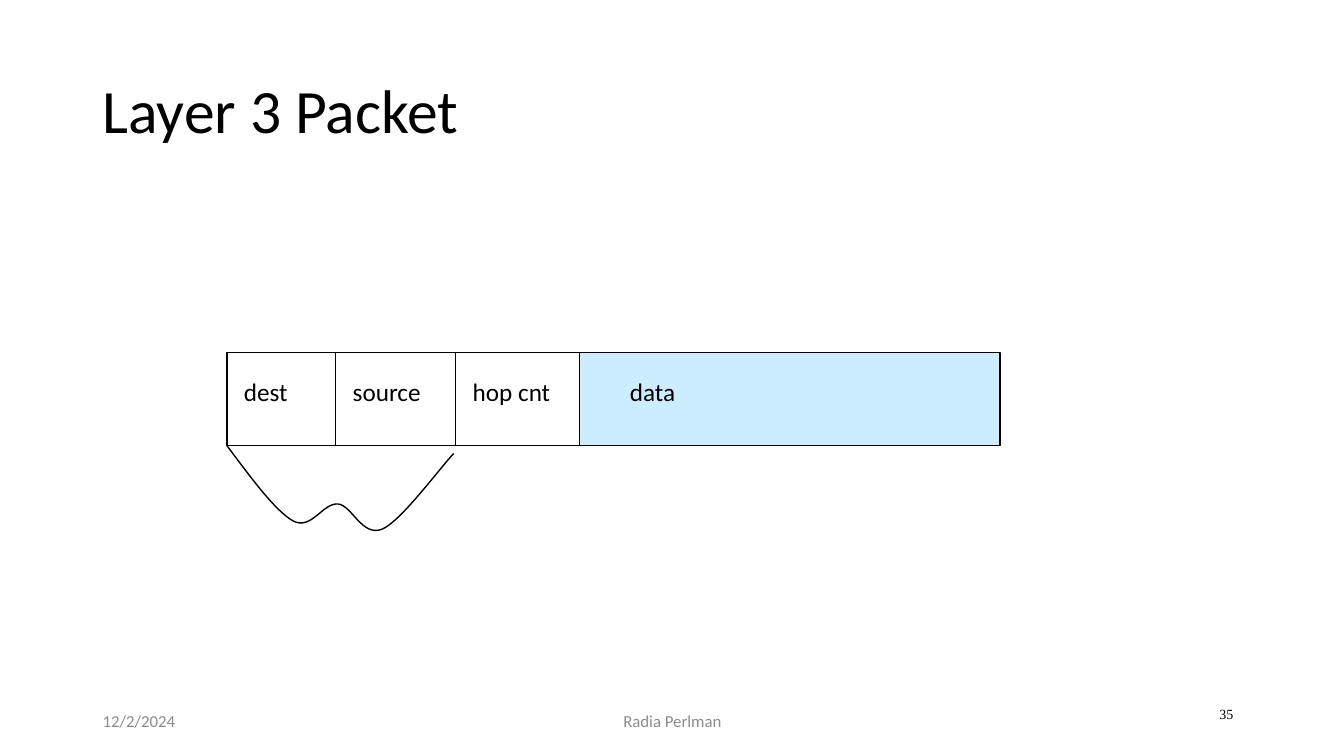
from lxml import etree
from pptx import Presentation
from pptx.dml.color import RGBColor
from pptx.enum.shapes import MSO_CONNECTOR, MSO_SHAPE
from pptx.enum.text import MSO_ANCHOR, PP_ALIGN
from pptx.oxml.ns import qn
from pptx.util import Pt

PX = 9144  # EMU per px, 100 px to the inch
LEFT, CENTER, RIGHT = PP_ALIGN.LEFT, PP_ALIGN.CENTER, PP_ALIGN.RIGHT
TOP, MIDDLE = MSO_ANCHOR.TOP, MSO_ANCHOR.MIDDLE
RECT, STRAIGHT = MSO_SHAPE.RECTANGLE, MSO_CONNECTOR.STRAIGHT
COLORS = {"ink": "000000", "data": "CCECFF", "footer": "8C8C8C"}

PACKET_TOP, PACKET_BOTTOM = 350, 442
HEADER_LEFT, DATA_LEFT, PACKET_RIGHT = 225, 575, 992
DIVIDERS = [333, 452]
FIELDS = [("dest", 232, 74), ("source", 340, 108),
          ("hop cnt", 459, 120), ("data", 615, 76)]
# Start point, then two control points and an end point for each curve
BRACE = [(225, 442),
         (249, 474), (273, 507), (291, 517),
         (309, 526), (320, 499), (335, 500),
         (349, 501), (359, 533), (379, 525),
         (398, 517), (438, 462), (450, 450)]


def rgb(name):
    return RGBColor.from_string(COLORS[name])


def px(*lengths):
    return [n * PX for n in lengths]


def set_outline(s):
    s.line.color.rgb = rgb("ink")
    s.line.width = Pt(1)


def add_text(slide, text, box, size, color="ink", align=LEFT, anchor=TOP,
             font="Calibri", spacing=1.0):
    tf = slide.shapes.add_textbox(*px(*box)).text_frame
    tf.word_wrap = True
    tf.vertical_anchor = anchor
    p = tf.paragraphs[0]
    p.text = text
    p.alignment = align
    p.line_spacing = spacing
    p.font.name = font
    p.font.size = Pt(size)
    p.font.color.rgb = rgb(color)


def add_block(slide, left, right, fill=None):
    s = slide.shapes.add_shape(
        RECT, *px(left, PACKET_TOP, right - left, PACKET_BOTTOM - PACKET_TOP))
    s.shadow.inherit = False
    if fill:
        s.fill.solid()
        s.fill.fore_color.rgb = rgb(fill)
    else:
        s.fill.background()
    set_outline(s)


def add_divider(slide, x):
    s = slide.shapes.add_connector(
        STRAIGHT, *px(x, PACKET_TOP, x, PACKET_BOTTOM))
    set_outline(s)
    etree.SubElement(s._element.spPr, qn("a:effectLst"))


def add_curve(slide, points):
    """Draw cubic curves: each three points after the first make one."""
    builder = slide.shapes.build_freeform(*points[0], scale=PX)
    builder.add_line_segments(points[1:], close=False)
    s = builder.convert_to_shape()
    s.shadow.inherit = False
    s.fill.background()
    set_outline(s)
    path = next(s._element.iter(qn("a:path")))
    segments = path.findall(qn("a:lnTo"))
    for i in range(0, len(segments), 3):
        curve = etree.SubElement(path, qn("a:cubicBezTo"))
        for segment in segments[i:i + 3]:
            curve.append(segment[0])
            path.remove(segment)


def main():
    prs = Presentation()
    prs.slide_width, prs.slide_height = px(1333, 750)
    slide = prs.slides.add_slide(prs.slide_layouts[6])

    add_text(slide, "Layer 3 Packet", (92, 40, 1150, 145), 44,
             anchor=MIDDLE, spacing=0.9)

    add_block(slide, DATA_LEFT, PACKET_RIGHT, "data")
    add_block(slide, HEADER_LEFT, DATA_LEFT)
    for x in DIVIDERS:
        add_divider(slide, x)
    for text, left, width in FIELDS:
        add_text(slide, text, (left, 368, width, 50), 18)
    add_curve(slide, BRACE)

    add_text(slide, "12/2/2024", (92, 695, 300, 40), 12, "footer",
             anchor=MIDDLE)
    add_text(slide, "Radia Perlman", (442, 695, 450, 40), 12, "footer",
             CENTER, MIDDLE)
    add_text(slide, "35", (944, 683, 289, 50), 10, align=RIGHT,
             anchor=MIDDLE, font="Times New Roman")

    prs.save("out.pptx")


if __name__ == "__main__":
    main()
